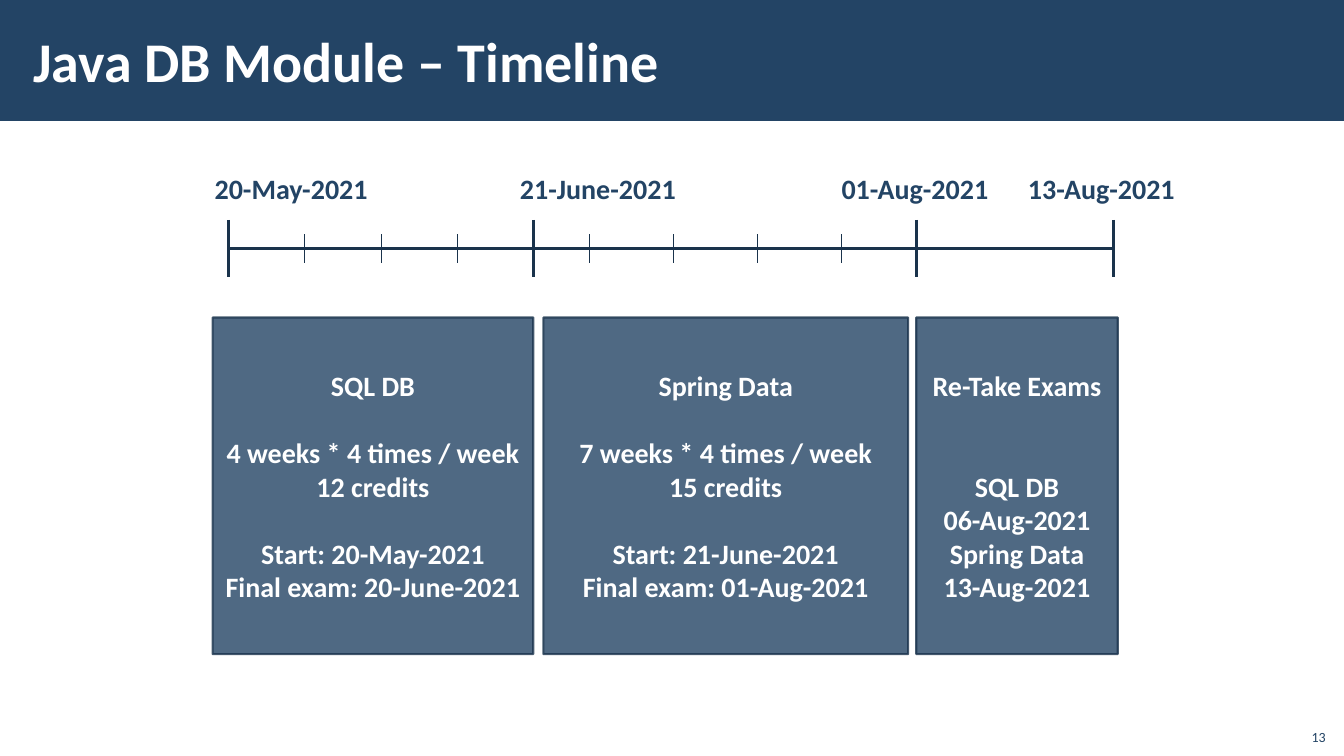
from lxml import etree
from pptx import Presentation
from pptx import util as u
from pptx.dml.color import RGBColor
from pptx.enum import shapes, text
from pptx.oxml.ns import qn

Pt = u.Pt
NAVY, DARK, WHITE = "234465", "1A334C", "FFFFFF"
AXIS = [("20-May-2021", 163.4, 146.2), ("21-June-2021", 380.9, 364.3),
        ("01-Aug-2021", 654.5, 594), ("13-Aug-2021", 795.6, 727.2)]
CARDS = [
    (151.9, 229, [("SQL DB", 0), ("4 weeks * 4 times / week", 24), ("12 credits", 0),
                  ("Start: 20-May-2021", 24), ("Final exam: 20-June-2021", 0)]),
    (388.1, 260.6, [("Spring Data", 0), ("7 weeks * 4 times / week", 24), ("15 credits", 0),
                    ("Start: 21-June-2021", 24), ("Final exam: 01-Aug-2021", 0)]),
    (654.5, 144, [("Re-Take Exams", 0), ("SQL DB", 48), ("06-Aug-2021", 0),
                  ("Spring Data", 0), ("13-Aug-2021", 0)]),
]


def rgb(code):
    """Turn a hex string into a colour."""
    return RGBColor.from_string(code)


def style(para, size, code, bold=True, align=text.PP_ALIGN.LEFT):
    """Format a paragraph and its runs."""
    para.alignment = align
    for run in para.runs:
        font = run.font
        font.name, font.size, font.bold = "Calibri", Pt(size), bold
        font.color.rgb = rgb(code)


def fade(fill):
    """Make a solid fill 80 % opaque."""
    tint = fill._xPr.find(qn("a:solidFill"))[0]
    etree.SubElement(tint, qn("a:alpha"), val="80000")


def rect(slide, x, y, w, h):
    """Add a flat navy rectangle."""
    box = slide.shapes.add_shape(shapes.MSO_SHAPE.RECTANGLE, Pt(x), Pt(y), Pt(w), Pt(h))
    box.shadow.inherit = False
    box.fill.solid()
    box.fill.fore_color.rgb = rgb(NAVY)
    return box


def line(slide, x, y, end, low, width):
    """Draw a straight dark line."""
    rule = slide.shapes.add_connector(
        shapes.MSO_CONNECTOR.STRAIGHT, Pt(x), Pt(y), Pt(end), Pt(low))
    rule.line.color.rgb = rgb(DARK)
    rule.line.width = Pt(width)
    etree.SubElement(rule._element.spPr, qn("a:effectLst"))


def label(slide, words, x, y, w, h):
    """Add a one-line text box."""
    box = slide.shapes.add_textbox(Pt(x), Pt(y), Pt(w), Pt(h))
    box.text_frame.text = words
    return box.text_frame


def header(slide, x, y, w, h):
    """Place the title on its band."""
    bar = rect(slide, x, y, w, h)
    bar.line.fill.background()
    title = slide.shapes.title
    title._element.addprevious(bar._element)
    title.left, title.top = Pt(x + 15.1), Pt(y + 7.9)
    title.width, title.height = Pt(765.4), Pt(h - 16.6)
    frame = title.text_frame
    frame.text = "Java DB Module – Timeline"
    frame.auto_size = text.MSO_AUTO_SIZE.NONE
    frame.vertical_anchor = text.MSO_ANCHOR.MIDDLE
    frame.margin_left = frame.margin_right = Pt(8.6)
    frame.margin_top = frame.margin_bottom = Pt(2.9)
    style(frame.paragraphs[0], 40, WHITE)


def axis(slide, y):
    """Draw the time axis with its dates and ticks."""
    start, june = AXIS[0][1], AXIS[1][1]
    line(slide, start, y, AXIS[-1][1], y, 2.25)
    for date, x, left in AXIS:
        line(slide, x, y - 20.4, x, y + 20.4, 2.25)
        frame = label(slide, date, left, y - 58.7, 126, 31.7)
        frame.word_wrap = False
        style(frame.paragraphs[0], 20, NAVY)
    weeks = [start + (june - start) * i / 4 for i in range(1, 4)]
    weeks += [420.8 + 60 * i for i in range(4)]
    for x in weeks:
        line(slide, x, y - 10.3, x, y + 10.3, 0.5)


def card(slide, x, y, w, h, rows):
    """Place a module card with centred rows."""
    box = rect(slide, x, y, w, h)
    box.line.color.rgb = rgb(DARK)
    box.line.width = Pt(1.5)
    fade(box.fill)
    fade(box.line.fill)
    frame = box.text_frame
    frame.word_wrap = True
    frame.vertical_anchor = text.MSO_ANCHOR.MIDDLE
    frame.text = "\n".join(words for words, _ in rows)
    for para, (_, gap) in zip(frame.paragraphs, rows):
        para.space_before = Pt(gap)
        style(para, 20, WHITE, align=text.PP_ALIGN.CENTER)


def number(slide, x, y, w, h):
    """Place the slide number."""
    frame = label(slide, "13", x, y, w, h)
    frame.word_wrap = True
    frame.vertical_anchor = text.MSO_ANCHOR.BOTTOM
    style(frame.paragraphs[0], 10, NAVY, False, text.PP_ALIGN.RIGHT)


def main():
    """Build and save the slide."""
    deck = Presentation()
    deck.slide_width, deck.slide_height = Pt(960), Pt(540)
    slide = deck.slides.add_slide(deck.slide_layouts[5])
    header(slide, 0, 0, 960, 86.4)
    axis(slide, 177.5)
    for x, w, rows in CARDS:
        card(slide, x, 226.8, w, 240.5, rows)
    number(slide, 925.2, 512.6, 28.8, 23)
    deck.save("out.pptx")


if __name__ == "__main__":
    main()
